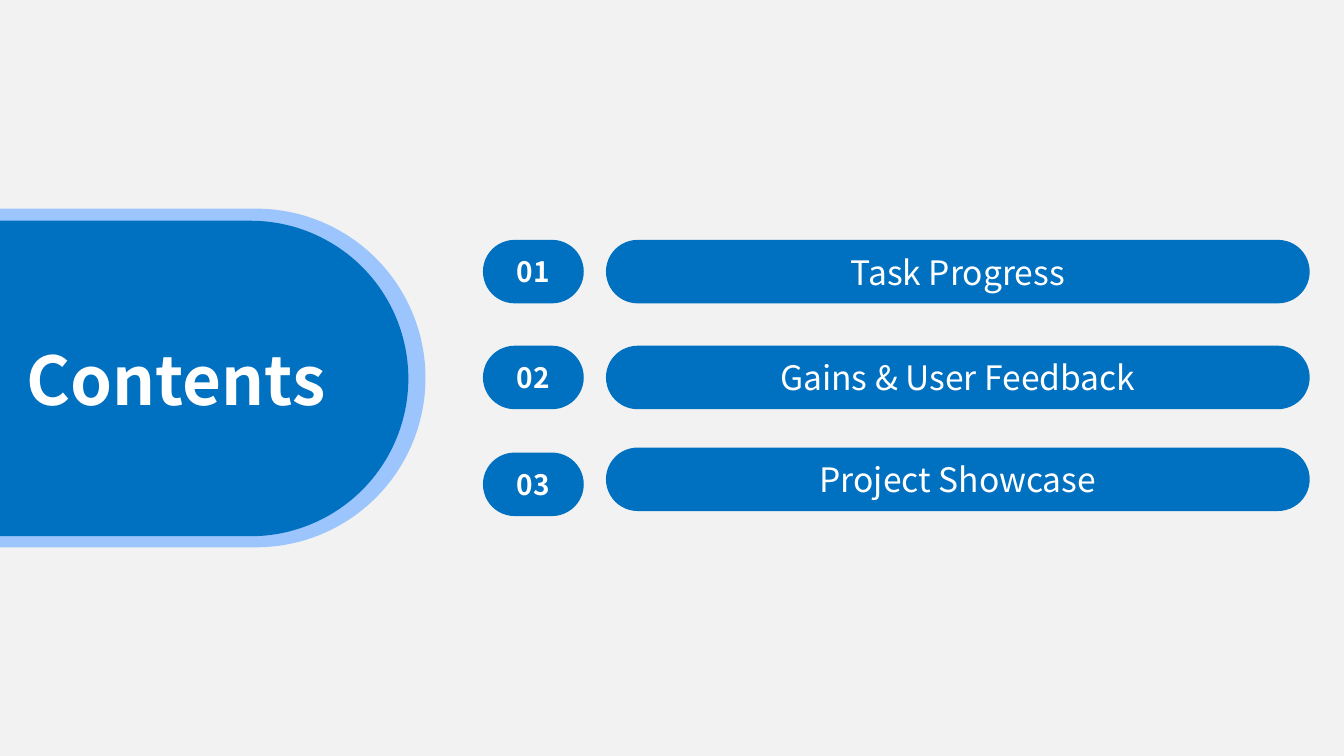
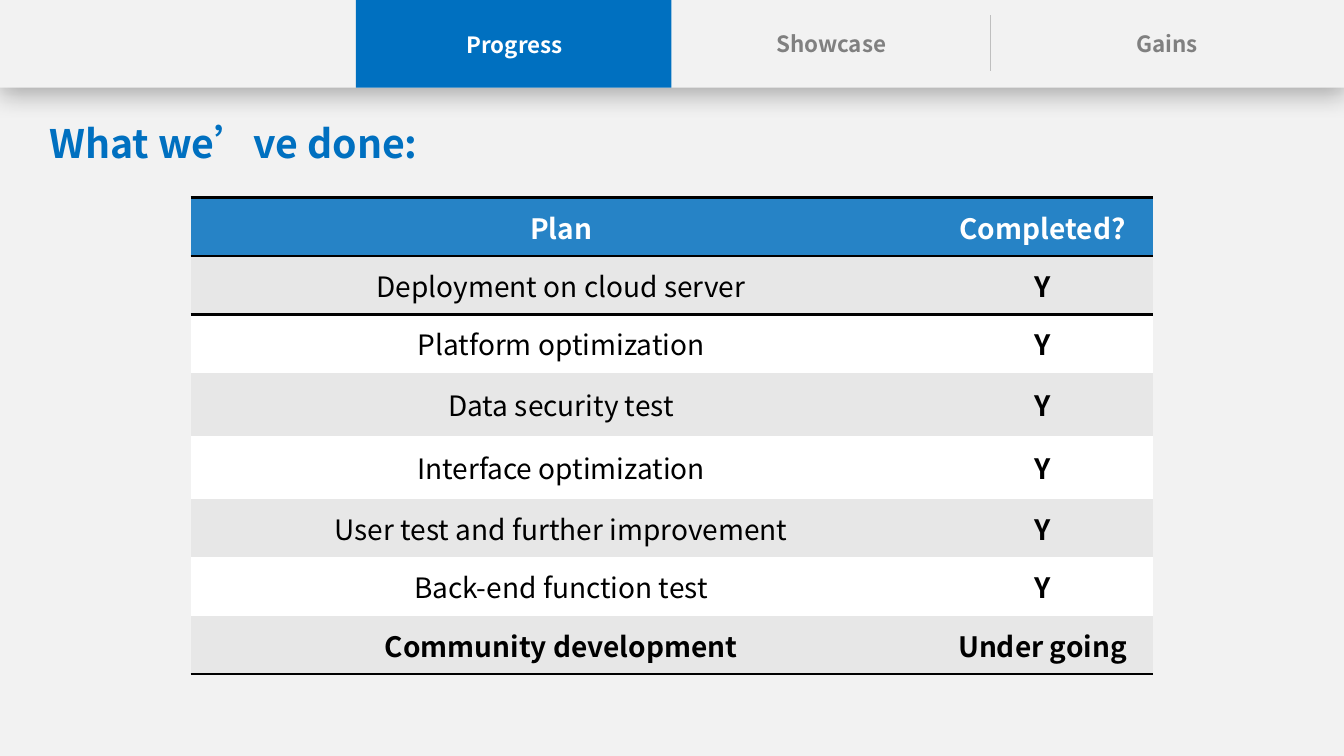
from lxml import etree
from pptx import Presentation
from pptx.dml.color import RGBColor
from pptx.enum.shapes import MSO_CONNECTOR, MSO_SHAPE
from pptx.enum.text import MSO_ANCHOR, MSO_AUTO_SIZE, PP_ALIGN
from pptx.oxml.ns import qn
from pptx.util import Inches, Pt

RECTANGLE = MSO_SHAPE.RECTANGLE
ROUNDED = MSO_SHAPE.ROUNDED_RECTANGLE
STRAIGHT = MSO_CONNECTOR.STRAIGHT
CENTER, LEFT = PP_ALIGN.CENTER, PP_ALIGN.LEFT
TOP, MIDDLE = MSO_ANCHOR.TOP, MSO_ANCHOR.MIDDLE
NO_AUTOFIT = MSO_AUTO_SIZE.NONE

FONT = "Noto Sans CJK SC"
BACKGROUND = RGBColor(0xF2, 0xF2, 0xF2)
BLUE = RGBColor(0x00, 0x70, 0xC0)
PALE_BLUE = RGBColor(0x9C, 0xC5, 0xFD)
HEADER_BLUE = RGBColor(0x26, 0x83, 0xC6)
BAND_GREY = RGBColor(0xE7, 0xE7, 0xE7)
DIVIDER_GREY = RGBColor(0xBF, 0xBF, 0xBF)
TAB_GREY = RGBColor(0x80, 0x80, 0x80)
WHITE = RGBColor(0xFF, 0xFF, 0xFF)
BLACK = RGBColor(0x00, 0x00, 0x00)

SLIDE_WIDTH, SLIDE_HEIGHT = 13.33, 7.5
TITLE_ONLY = 5
NO_STYLE_NO_GRID = "{2D5ABB26-0587-4C30-8999-92F81FD0307C}"

AGENDA = [
    ("01", 2.38, "Task Progress", 2.38),
    ("02", 3.43, "Gains & User Feedback", 3.43),
    ("03", 4.49, "Project Showcase", 4.44),
]
TABS = [
    ("Progress", 4.37, 0.26, WHITE),
    ("Showcase", 7.51, 0.25, TAB_GREY),
    ("Gains", 10.84, 0.25, TAB_GREY),
]
PLAN = [
    ("Plan", "Completed?"),
    ("Deployment on cloud server", "Y"),
    ("Platform optimization", "Y"),
    ("Data security test", "Y"),
    ("Interface optimization", "Y"),
    ("User test and further improvement", "Y"),
    ("Back-end function test", "Y"),
    ("Community development", "Under going"),
]
COLUMN_WIDTHS = [7.35, 2.2]
ROW_HEIGHTS = [0.58, 0.58, 0.58, 0.63, 0.62, 0.58, 0.58, 0.58]


def write(frame, text, size, color, bold=False, align=CENTER):
    frame.text = text
    paragraph = frame.paragraphs[0]
    paragraph.alignment = align
    font = paragraph.font
    font.name = FONT
    font.size = Pt(size)
    font.bold = bold
    font.color.rgb = color


def add_title(slide, text, box, size, color, align, anchor):
    title = slide.shapes.title
    title.left, title.top, title.width, title.height = map(Inches, box)
    frame = title.text_frame
    frame.auto_size = NO_AUTOFIT
    frame.vertical_anchor = anchor
    write(frame, text, size, color, True, align)
    return title


def add_block(slide, kind, box, color):
    block = slide.shapes.add_shape(kind, *map(Inches, box))
    block.shadow.inherit = False
    block.fill.solid()
    block.fill.fore_color.rgb = color
    block.line.fill.background()
    return block


def add_pill(slide, box, color):
    pill = add_block(slide, ROUNDED, box, color)
    pill.adjustments[0] = 0.5
    return pill


def add_label_pill(slide, box, text, size, bold):
    pill = add_pill(slide, box, BLUE)
    pill.text_frame.vertical_anchor = MIDDLE
    write(pill.text_frame, text, size, WHITE, bold)


def add_drop_shadow(block):
    effects = block.element.spPr.find(qn("a:effectLst"))
    shadow = etree.SubElement(
        effects, qn("a:outerShdw"), blurRad=str(Pt(18)), dist=str(Pt(4)),
        dir="5400000", algn="t", rotWithShape="0")
    color = etree.SubElement(shadow, qn("a:srgbClr"), val=str(BLACK))
    etree.SubElement(color, qn("a:alpha"), val="29000")


def add_divider(slide, x, top, bottom):
    divider = slide.shapes.add_connector(
        STRAIGHT, Inches(x), Inches(top), Inches(x), Inches(bottom))
    divider.line.color.rgb = DIVIDER_GREY
    divider.line.width = Pt(0.5)
    etree.SubElement(divider.element.spPr, qn("a:effectLst"))


def add_tab_label(slide, text, left, top, color):
    label = slide.shapes.add_textbox(
        Inches(left), Inches(top), Inches(1.47), Inches(0.38))
    frame = label.text_frame
    frame.word_wrap = True
    frame.margin_left = frame.margin_right = 0
    write(frame, text, 16, color, True)


def add_tab_bar(slide):
    bar = add_block(slide, RECTANGLE, (0, 0, SLIDE_WIDTH, 0.87), BACKGROUND)
    add_drop_shadow(bar)
    add_divider(slide, 9.82, 0.15, 0.7)
    add_block(slide, RECTANGLE, (3.53, 0, 3.13, 0.87), BLUE)
    for tab in TABS:
        add_tab_label(slide, *tab)


def add_borders(cell, sides):
    properties = cell._tc.get_or_add_tcPr()
    for position, side in enumerate(sides):
        border = etree.Element(qn(f"a:{side}"), w=str(Pt(2)))
        fill = etree.SubElement(border, qn("a:solidFill"))
        etree.SubElement(fill, qn("a:srgbClr"), val=str(BLACK))
        properties.insert(position, border)


def add_plan_table(slide):
    frame = slide.shapes.add_table(
        len(PLAN), len(COLUMN_WIDTHS), Inches(1.89), Inches(1.96),
        Inches(sum(COLUMN_WIDTHS)), Inches(sum(ROW_HEIGHTS)))
    table = frame.table
    table.horz_banding = False
    for style in frame.element.iter(qn("a:tableStyleId")):
        style.text = NO_STYLE_NO_GRID
    for column, width in zip(table.columns, COLUMN_WIDTHS):
        column.width = Inches(width)
    last = len(PLAN) - 1
    borders = {0: ("lnT", "lnB"), 1: ("lnT",), last: ("lnB",)}
    for index, (row, height) in enumerate(zip(table.rows, ROW_HEIGHTS)):
        row.height = Inches(height)
        band = HEADER_BLUE if index == 0 else BAND_GREY if index % 2 else WHITE
        for column, (cell, text) in enumerate(zip(row.cells, PLAN[index])):
            bold = column == 1 or index in (0, last)
            write(cell.text_frame, text, 20, BLACK if index else WHITE, bold)
            cell.vertical_anchor = MIDDLE
            cell.fill.solid()
            cell.fill.fore_color.rgb = band
            add_borders(cell, borders.get(index, ()))


def build_contents(slide):
    add_pill(slide, (-1.96, 2.07, 6.18, 3.36), PALE_BLUE)
    add_pill(slide, (-1.7, 2.19, 5.75, 3.13), BLUE)
    for number, number_top, topic, topic_top in AGENDA:
        add_label_pill(slide, (4.79, number_top, 1, 0.63), number, 20, True)
        add_label_pill(slide, (6.01, topic_top, 6.98, 0.63), topic, 24, False)
    title = add_title(
        slide, "Contents", (0.12, 3.3, 3.25, 0.91), 48, WHITE, CENTER, MIDDLE)
    title.text_frame.word_wrap = False
    slide.shapes.element.append(title.element)


def build_progress(slide):
    add_tab_bar(slide)
    add_title(
        slide, "What we’ve done:", (0.39, 1.13, 6.05, 0.57), 28, BLUE, LEFT, TOP)
    add_plan_table(slide)


def main():
    deck = Presentation()
    deck.slide_width = Inches(SLIDE_WIDTH)
    deck.slide_height = Inches(SLIDE_HEIGHT)
    backdrop = deck.slide_master.background.fill
    backdrop.solid()
    backdrop.fore_color.rgb = BACKGROUND
    for build in (build_contents, build_progress):
        build(deck.slides.add_slide(deck.slide_layouts[TITLE_ONLY]))
    deck.save("out.pptx")


if __name__ == "__main__":
    main()
